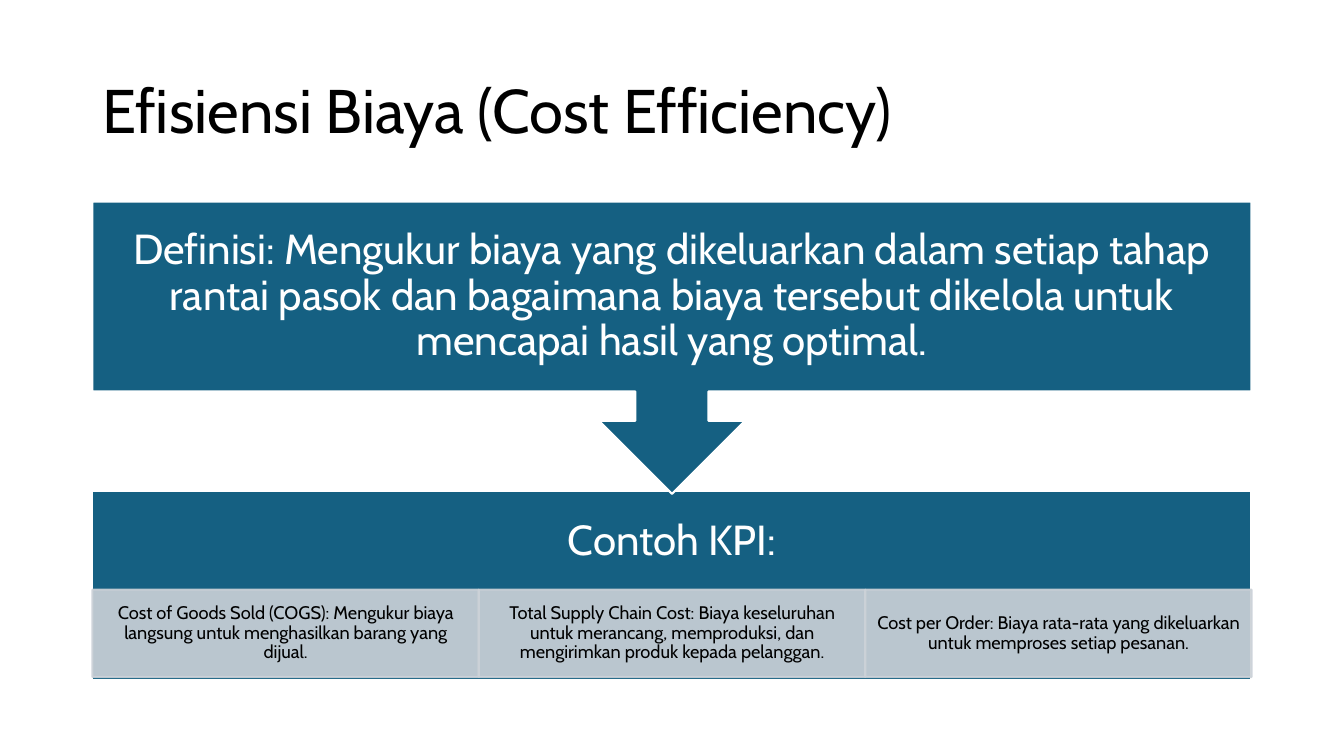
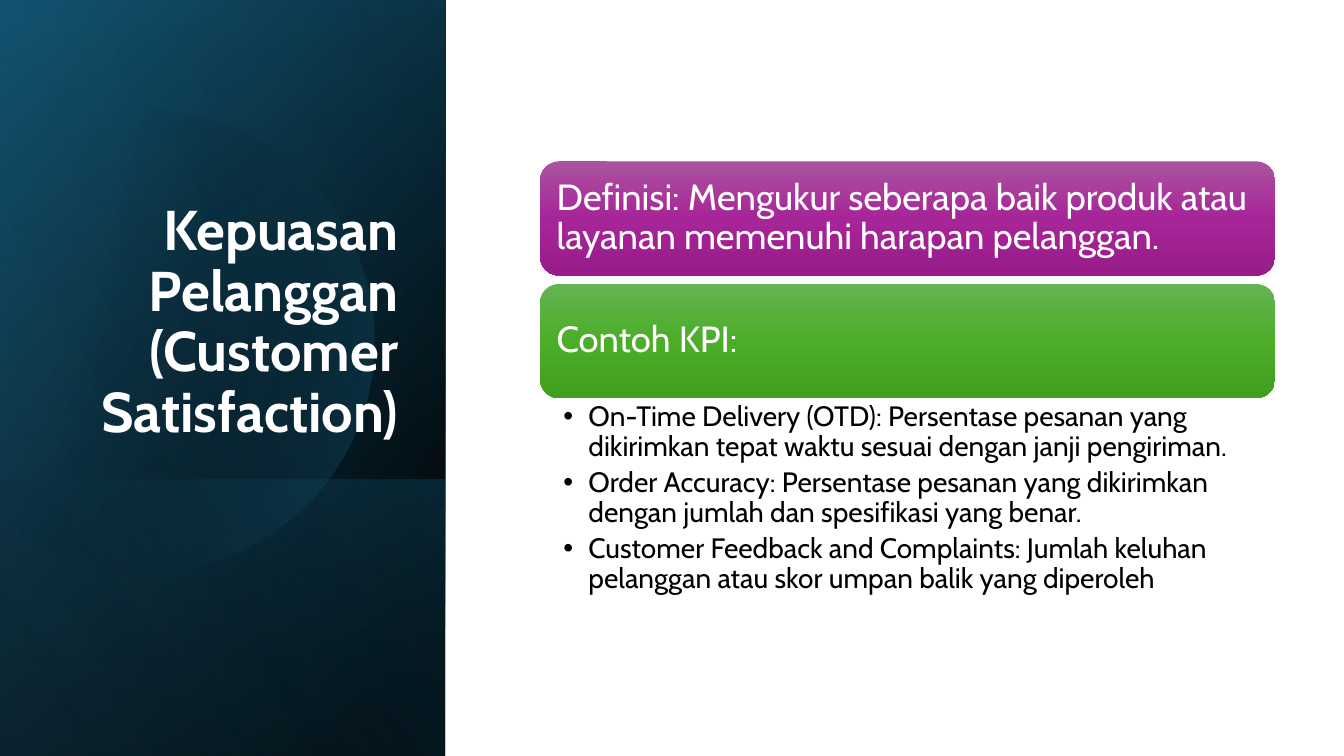
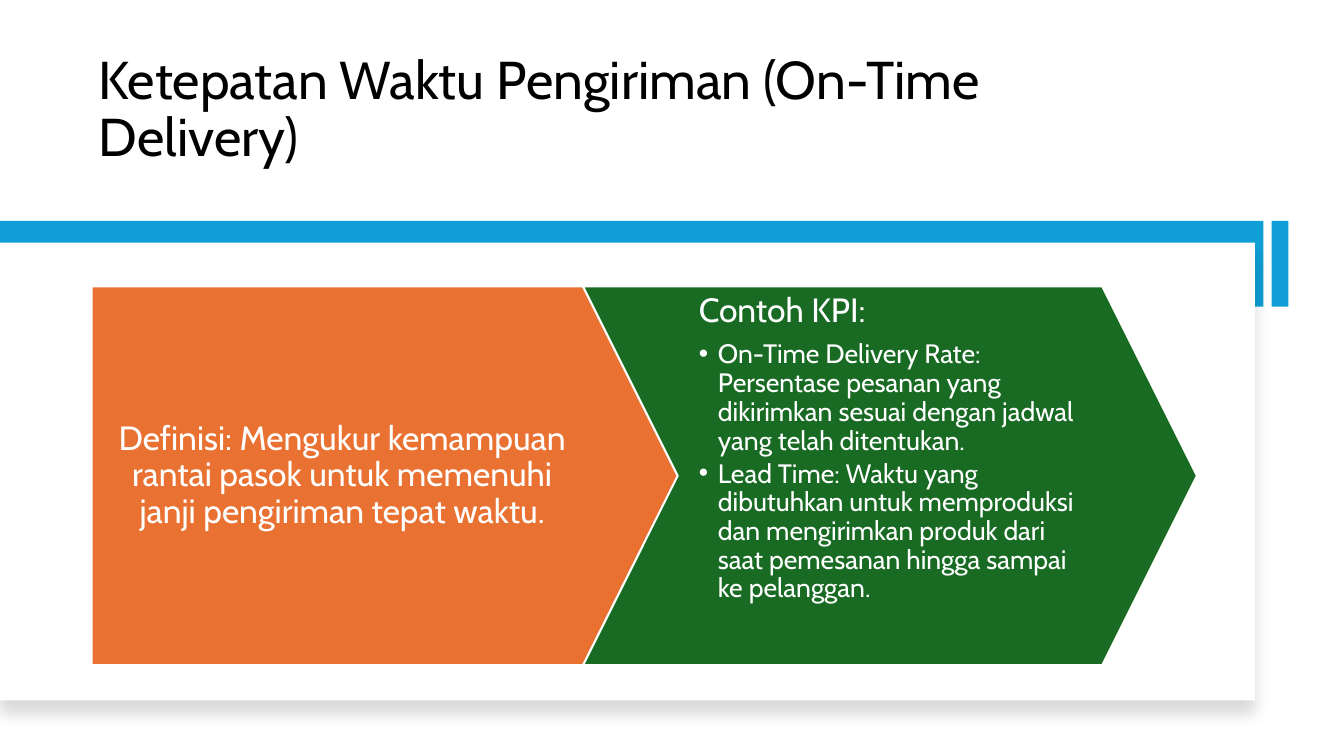
"""Build three slides on supply chain performance measures."""
import math

from lxml import etree
from pptx import Presentation
from pptx import util as u
from pptx.dml.color import RGBColor
from pptx.enum import shapes, text
from pptx.oxml import ns

COLS, ROWS = 16, 9
CELL = u.Inches(7.5) / ROWS
FONT = "Cabin"
C = {
    "black": "000000", "white": "FFFFFF", "blue": "156082", "navy": "104862",
    "light": "46B1E1", "sky": "0F9ED5", "grey": "CCD2D8", "orange": "E97132",
    "green": "196B24",
}
PURPLE = [(0, "AC53A0"), (50, "A62598"), (100, "991C8B")]
LIME = [(0, "66B354"), (50, "4BAD28"), (100, "409F1E")]
SHAPE = shapes.MSO_SHAPE
LEFT, CENTER, RIGHT = (text.PP_ALIGN.LEFT, text.PP_ALIGN.CENTER, text.PP_ALIGN.RIGHT)
TOP, MIDDLE, BOTTOM = (text.MSO_ANCHOR.TOP, text.MSO_ANCHOR.MIDDLE, text.MSO_ANCHOR.BOTTOM)
MARGIN, WIDTH = 1.1, 13.8
PANEL = 5.3


def grid(*cells):
    """Turn grid cells into slide lengths."""
    return [u.Emu(round(c * CELL)) for c in cells]


def put(obj, values):
    """Set attributes of an object from a dict."""
    for name, value in values.items():
        setattr(obj, name, value)


def child(parent, tag, **attrs):
    """Append an XML element with the given attributes."""
    el = etree.SubElement(parent, ns.qn(tag))
    for name, value in attrs.items():
        el.set(name, str(value))
    return el


def color(parent, rgb, alpha=100):
    """Append a colour, with its opacity in percent."""
    el = child(parent, "a:srgbClr", val=rgb)
    if alpha < 100:
        child(el, "a:alpha", val=alpha * 1000)


def gradient(sp, stops, angle):
    """Fill a shape with a linear gradient of (position, colour, opacity) stops."""
    sp.fill.background()
    pr = sp._element.spPr
    old = pr.find(ns.qn("a:noFill"))
    fill = child(pr, "a:gradFill", rotWithShape=1)
    pr.replace(old, fill)
    lst = child(fill, "a:gsLst")
    for pos, *rgb in stops:
        color(child(lst, "a:gs", pos=pos * 1000), *rgb)
    child(fill, "a:lin", ang=angle * 60000, scaled=0)


def style(sp, fill=None, line=None, alpha=100):
    """Give a shape a plain fill and outline without a shadow."""
    sp.shadow.inherit = False
    if fill:
        sp.fill.solid()
        sp.fill.fore_color.rgb = RGBColor.from_string(fill)
    if line:
        sp.line.color.rgb = RGBColor.from_string(line)
        sp.line.width = u.Pt(1.5)
    else:
        sp.line.fill.background()
    if alpha < 100:
        for clr in sp._element.spPr.iter(ns.qn("a:srgbClr")):
            child(clr, "a:alpha", val=alpha * 1000)


def shape(s, kind, box, fill=None, line=None, alpha=100):
    """Add a preset shape on the grid."""
    sp = s.shapes.add_shape(kind, *grid(*box))
    style(sp, fill, line, alpha)
    return sp


def write(sp, paras, size, rgb="FFFFFF", align=LEFT, anchor=MIDDLE,
          ins=(0.1, 0.05, 0.1, 0.05), bold=False):
    """Write paragraphs, each a string or a (string, format) pair."""
    tf = sp.text_frame
    sides = ("margin_left", "margin_top", "margin_right", "margin_bottom")
    put(tf, dict(zip(sides, map(u.Inches, ins)), word_wrap=True, vertical_anchor=anchor))
    for i, item in enumerate(paras):
        words, fmt = (item, {}) if isinstance(item, str) else item
        p = tf.paragraphs[0] if i == 0 else tf.add_paragraph()
        put(p, {"alignment": align, "line_spacing": 0.9, "space_after": u.Pt(fmt.get("after", 0))})
        r = p.add_run()
        r.text = words
        put(r.font, {"name": FONT, "size": u.Pt(fmt.get("size", size)), "bold": bold})
        r.font.color.rgb = RGBColor.from_string(rgb)
        if "indent" in fmt:
            step = u.Inches(fmt["indent"])
            pr = p._p.get_or_add_pPr()
            pr.set("marL", str(step))
            pr.set("indent", str(-step))
            child(pr, "a:buFont", typeface="Arial")
            child(pr, "a:buChar", char="•")


def textbox(s, box, paras, size, **fmt):
    """Add a text box on the grid."""
    write(s.shapes.add_textbox(*grid(*box)), paras, size, **fmt)


def title(s, box, words, size, rgb=C["black"], **fmt):
    """Add a slide title."""
    textbox(s, box, [words], size, rgb=rgb, **fmt)


def panel_layer(s, height, stops, angle):
    """Add a turned gradient layer that ends at the foot of the side panel."""
    box = ((PANEL - height) / 2, ROWS - (height + PANEL) / 2, height, PANEL)
    sp = shape(s, SHAPE.RECTANGLE, box)
    sp.rotation = 90
    sp._element.spPr.xfrm.set("flipH", "1")
    gradient(sp, stops, angle)


def panel_disc(s, cx, cy, radius, stops, angle):
    """Add a disc cut off at the left edge of the slide."""
    end = math.acos(-cx / radius)
    turns = [end * (i / 60 - 1) for i in range(121)]
    pts = [grid(cx + radius * math.cos(t), cy + radius * math.sin(t)) for t in turns]
    fb = s.shapes.build_freeform(*pts[0])
    fb.add_line_segments(pts[1:], close=True)
    sp = fb.convert_to_shape()
    style(sp)
    gradient(sp, stops, angle)


def cost_slide(s):
    """Draw the definition, the arrow and the row of cost measures."""
    title(s, (MARGIN, 0.48, WIDTH, 1.74), "Efisiensi Biaya (Cost Efficiency)", 44)
    pad, tile_h = 0.23, 1.04
    sp = shape(s, SHAPE.RECTANGLE, (MARGIN, 5.84, WIDTH, 2.26), C["blue"], C["white"])
    write(sp, ["Contoh KPI:"], 30, align=CENTER, ins=(pad, pad, pad, pad + 0.86))
    kpis = [
        "Cost of Goods Sold (COGS): Mengukur biaya langsung untuk menghasilkan barang yang dijual.",
        "Total Supply Chain Cost: Biaya keseluruhan untuk merancang, memproduksi, dan mengirimkan produk kepada pelanggan.",
        "Cost per Order: Biaya rata-rata yang dikeluarkan untuk memproses setiap pesanan.",
    ]
    w = WIDTH / len(kpis)
    for i, kpi in enumerate(kpis):
        sp = shape(s, SHAPE.RECTANGLE, (MARGIN + i * w, 7.02, w, tile_h), C["grey"], C["grey"], 90)
        write(sp, [kpi], 13, C["black"], CENTER, ins=(0.1, 0.02, 0.1, 0.02))
    sp = shape(s, SHAPE.DOWN_ARROW_CALLOUT, (MARGIN, 2.4, WIDTH, 3.48), C["blue"], C["white"])
    write(sp, ["Definisi: Mengukur biaya yang dikeluarkan dalam setiap tahap rantai pasok "
               "dan bagaimana biaya tersebut dikelola untuk mencapai hasil yang optimal."],
          30, align=CENTER, ins=(pad,) * 4)


def satisfaction_slide(s):
    """Draw the dark side panel, two cards and a bullet list."""
    black, blue = C["black"], C["blue"]
    panel_layer(s, ROWS, [(8, black), (100, C["navy"])], 50)
    panel_layer(s, ROWS, [(0, black, 0), (99, blue, 46)], 30)
    panel_layer(s, 3.29, [(2, blue, 29), (100, black, 30)], 130)
    panel_disc(s, 1.7, 4.06, 2.76, [(29, black, 0), (100, blue, 43)], 14)
    panel_layer(s, ROWS, [(0, black, 0), (99, C["light"], 11)], 120)
    title(s, (0.77, 2.21, 4.09, 3.14), "Kepuasan Pelanggan (Customer Satisfaction)", 40,
          C["white"], align=RIGHT, anchor=BOTTOM, bold=True)
    x, y, w, h, pitch = 6.43, 1.92, 8.75, 1.36, 1.46
    cards = [
        ("Definisi: Mengukur seberapa baik produk atau layanan memenuhi harapan pelanggan.", PURPLE),
        ("Contoh KPI:", LIME),
    ]
    for i, (words, stops) in enumerate(cards):
        sp = shape(s, SHAPE.ROUNDED_RECTANGLE, (x, y + i * pitch, w, h))
        gradient(sp, stops, 90)
        write(sp, [words], 26, ins=(0.11,) * 4)
    bullet = {"indent": 0.25, "after": 4}
    kpis = [
        "On-Time Delivery (OTD): Persentase pesanan yang dikirimkan tepat waktu sesuai dengan janji pengiriman.",
        "Order Accuracy: Persentase pesanan yang dikirimkan dengan jumlah dan spesifikasi yang benar.",
        "Customer Feedback and Complaints: Jumlah keluhan pelanggan atau skor umpan balik yang diperoleh",
    ]
    textbox(s, (x, y + pitch + h, w, 2.47), [(k, bullet) for k in kpis], 20,
            rgb=C["black"], anchor=TOP, ins=(0.23, 0.04, 0.2, 0.04))


def delivery_slide(s):
    """Draw the blue band, the white sheet and two chained arrows."""
    title(s, (1.06, 0.5, 12.12, 1.56), "Ketepatan Waktu Pengiriman (On-Time Delivery)", 38,
          anchor=BOTTOM)
    for x, w in ((15.14, 0.2), (0, 15.04)):
        shape(s, SHAPE.RECTANGLE, (x, 2.63, w, 1.02), C["sky"])
    sheet = shape(s, SHAPE.RECTANGLE, (0, 2.89, 14.94, 5.45), C["white"])
    shadow = child(sheet._element.spPr.find(ns.qn("a:effectLst")), "a:outerShdw",
                   blurRad=u.Pt(11), dist=u.Pt(10), dir=90 * 60000, algn="t", rotWithShape=0)
    color(shadow, C["black"], 15)
    bullet = {"size": 19, "indent": 0.19, "after": 3}
    steps = [
        (SHAPE.PENTAGON, C["orange"],
         ["Definisi: Mengukur kemampuan rantai pasok untuk memenuhi janji pengiriman tepat waktu."],
         {"align": CENTER, "ins": (0.21, 0.07, 0.86, 0.07)}),
        (SHAPE.CHEVRON, C["green"],
         [("Contoh KPI:", {"after": 8}),
          ("On-Time Delivery Rate: Persentase pesanan yang dikirimkan sesuai dengan jadwal yang telah ditentukan.", bullet),
          ("Lead Time: Waktu yang dibutuhkan untuk memproduksi dan mengirimkan produk dari saat pemesanan hingga sampai ke pelanggan.", bullet)],
         {"anchor": TOP, "ins": (0.21, 0.07, 0.21, 0.07)}),
    ]
    for i, (kind, fill, paras, fmt) in enumerate(steps):
        sp = shape(s, kind, (1.09 + i * 5.85, 3.41, 7.31, 4.51), fill, C["white"])
        sp.adjustments[0] = 0.25
        write(sp, paras, 24, **fmt)


def main():
    """Build and save the presentation."""
    prs = Presentation()
    prs.slide_width, prs.slide_height = grid(COLS, ROWS)
    for draw in (cost_slide, satisfaction_slide, delivery_slide):
        draw(prs.slides.add_slide(prs.slide_layouts[6]))
    prs.save("out.pptx")


if __name__ == "__main__":
    main()
